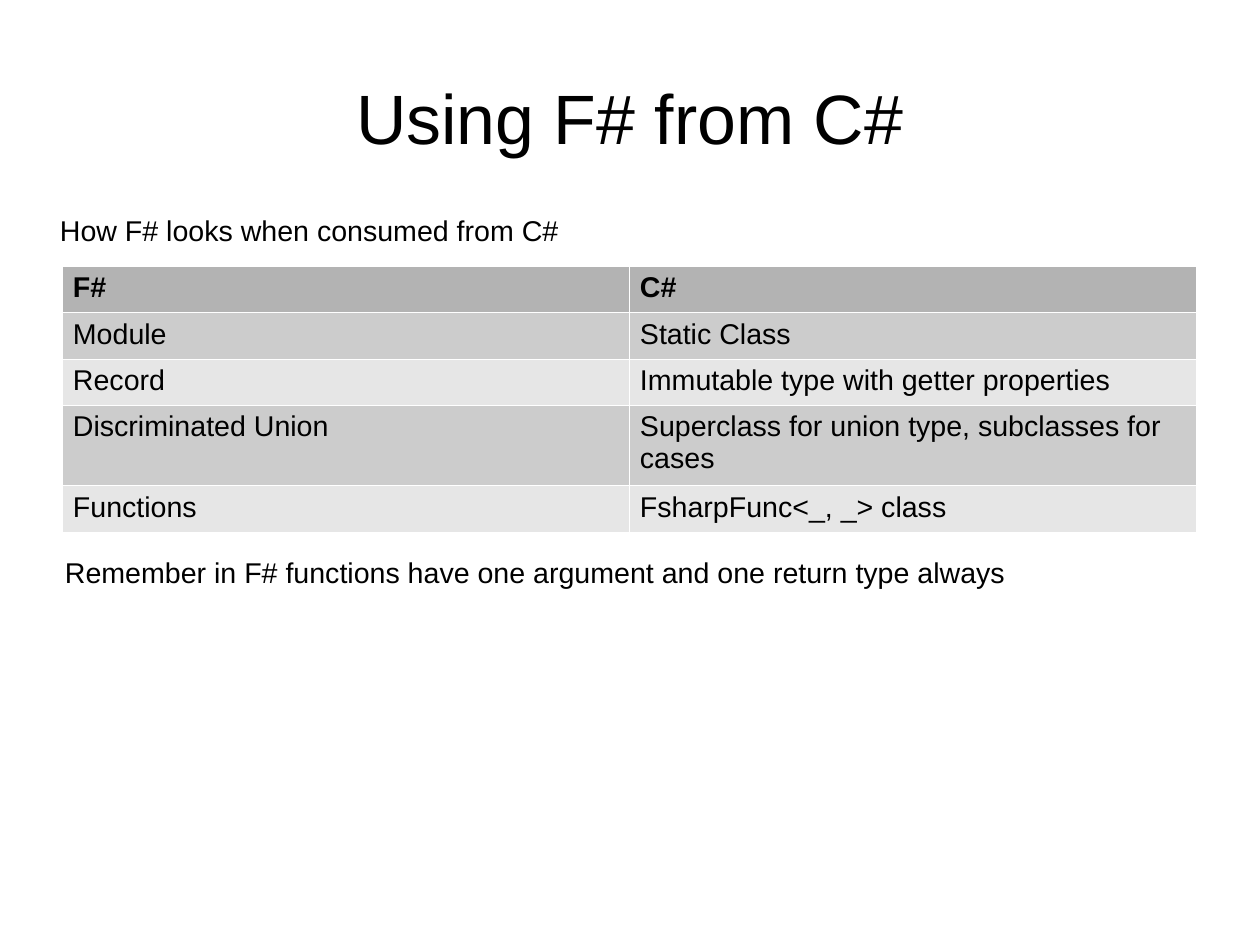
from lxml.etree import SubElement
from pptx import Presentation
from pptx.dml.color import RGBColor
from pptx.enum.text import MSO_ANCHOR as Anchor, MSO_AUTO_SIZE as AutoSize, PP_ALIGN as Align
from pptx.oxml.ns import qn
from pptx.util import Emu, Pt

FONT = "Arial"
BLACK, WHITE = "000000", "FFFFFF"
HEADER_FILL = "B3B3B3"
BAND_FILLS = ["CCCCCC", "E6E6E6"]
BORDER_WIDTH = Pt(0.06)
MARGIN_X, MARGIN_Y = 11, 6

ROW_HEIGHTS = [46, 46, 46, 80, 45]
ROWS = [
    ("F#", "C#"),
    ("Module", "Static Class"),
    ("Record", "Immutable type with getter properties"),
    ("Discriminated Union", "Superclass for union type, subclasses for cases"),
    ("Functions", "FsharpFunc<_, _> class"),
]


def px(length):
    return Emu(length * 8000)


def color(hex_string):
    return RGBColor.from_string(hex_string)


class SlideBuilder:
    def __init__(self, slide):
        self.slide = slide

    def add_text(self, frame, text, size=18, bold=False, align=Align.LEFT):
        paragraph = frame.paragraphs[0]
        paragraph.alignment = align
        run = paragraph.add_run()
        run.text = text
        run.font.name = FONT
        run.font.size = Pt(size)
        run.font.bold = bold
        run.font.color.rgb = color(BLACK)

    def set_margins(self, target, x, y):
        target.margin_left = target.margin_right = px(x)
        target.margin_top = target.margin_bottom = px(y)

    def title(self, text, left, top, width, height):
        shape = self.slide.shapes.title
        shape.left, shape.top = px(left), px(top)
        shape.width, shape.height = px(width), px(height)
        frame = shape.text_frame
        frame.word_wrap = True
        frame.auto_size = AutoSize.SHAPE_TO_FIT_TEXT
        frame.vertical_anchor = Anchor.MIDDLE
        self.set_margins(frame, 0, 0)
        self.add_text(frame, text, size=44, align=Align.CENTER)

    def text_box(self, text, left, top, width, height):
        shape = self.slide.shapes.add_textbox(px(left), px(top), px(width), px(height))
        frame = shape.text_frame
        frame.word_wrap = True
        frame.auto_size = AutoSize.SHAPE_TO_FIT_TEXT
        self.set_margins(frame, MARGIN_X, MARGIN_Y)
        self.add_text(frame, text)

    def cell_borders(self, cell):
        """Draw thin white lines; called before the fill, which must follow them in the XML."""
        properties = cell._tc.get_or_add_tcPr()
        for side in ("a:lnL", "a:lnR", "a:lnT", "a:lnB"):
            line = SubElement(properties, qn(side), w=str(int(BORDER_WIDTH)))
            fill = SubElement(line, qn("a:solidFill"))
            SubElement(fill, qn("a:srgbClr"), val=WHITE)

    def table(self, rows, row_heights, left, top, width):
        frame = self.slide.shapes.add_table(
            len(rows), len(rows[0]), px(left), px(top), px(width), px(sum(row_heights)))
        table = frame.table
        for row_index, (texts, height) in enumerate(zip(rows, row_heights)):
            table.rows[row_index].height = px(height)
            is_header = row_index == 0
            fill = HEADER_FILL if is_header else BAND_FILLS[(row_index - 1) % 2]
            for column_index, text in enumerate(texts):
                cell = table.cell(row_index, column_index)
                self.set_margins(cell, MARGIN_X, MARGIN_Y)
                self.cell_borders(cell)
                cell.fill.solid()
                cell.fill.fore_color.rgb = color(fill)
                self.add_text(cell.text_frame, text, bold=is_header)


def main():
    presentation = Presentation()
    presentation.slide_width, presentation.slide_height = px(1260), px(945)
    slide = presentation.slides.add_slide(presentation.slide_layouts[5])
    slide.background.fill.solid()
    slide.background.fill.fore_color.rgb = color(WHITE)

    builder = SlideBuilder(slide)
    builder.title("Using F# from C#", 63, 38, 1134, 158)
    builder.table(ROWS, ROW_HEIGHTS, 62, 266, 1134)
    builder.text_box("How F# looks when consumed from C#", 49, 207, 729, 43)
    builder.text_box("Remember in F# functions have one argument and one return type always",
                     54, 549, 1116, 75)
    presentation.save("out.pptx")


if __name__ == "__main__":
    main()
